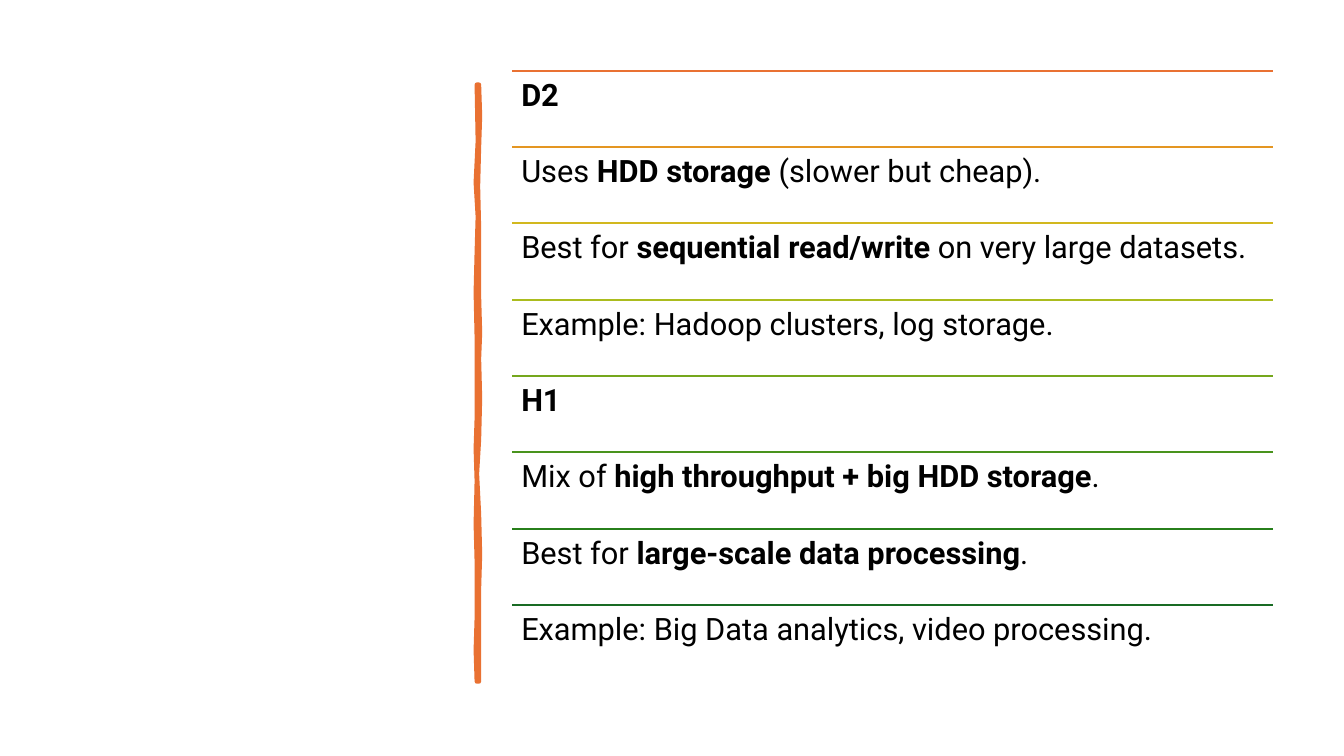
from dataclasses import dataclass
from lxml import etree
from pptx import Presentation
from pptx import util as u
from pptx.dml.color import RGBColor
from pptx.enum import shapes
from pptx.oxml.ns import qn

ROWS = [
    ("E97132", [("D2", True)]),
    ("E49622", [("Uses ", False), ("HDD storage", True), (" (slower but cheap).", False)]),
    ("D2B81E", [("Best for ", False), ("sequential read/write", True),
                (" on very large datasets.", False)]),
    ("ABBC1E", [("Example: Hadoop clusters, log storage.", False)]),
    ("75A71D", [("H1", True)]),
    ("49931D", [("Mix of ", False), ("high throughput + big HDD storage", True), (".", False)]),
    ("277F1B", [("Best for ", False), ("large-scale data processing", True), (".", False)]),
    ("196B24", [("Example: Big Data analytics, video processing.", False)]),
]
RIGHT = [(4.75, 0.84), (4.76, 1.15), (4.75, 1.46), (4.74, 1.85), (4.75, 2.26),
         (4.75, 2.94), (4.76, 3.3), (4.75, 3.56), (4.76, 3.95), (4.75, 4.36),
         (4.73, 4.7), (4.75, 5.1), (4.76, 5.5), (4.75, 5.84), (4.75, 6.76)]
LEFT = [(4.73, 6.76), (4.72, 6.45), (4.73, 6.13), (4.73, 5.57), (4.72, 5.2),
        (4.73, 4.77), (4.72, 4.45), (4.73, 4.15), (4.73, 3.35), (4.72, 2.9),
        (4.73, 2.5), (4.74, 2.15), (4.72, 1.81), (4.74, 1.4), (4.73, 0.84)]


@dataclass
class Theme:
    font: str = "Roboto"
    size: int = 22
    ink: str = "000000"
    bar: str = "E97132"
    rule: float = 1.5
    brush: float = 3.25


theme = Theme()
X, TOP, WIDE, BASE = 5.08, 0.7, 7.55, 6.76
PITCH = (BASE - TOP) / len(ROWS)


def color(code):
    return RGBColor.from_string(code)


def draw_bar(slide):
    points = RIGHT + LEFT
    pen = slide.shapes.build_freeform(*map(u.Inches, points[0]))
    pen.add_line_segments([(u.Inches(x), u.Inches(y)) for x, y in points[1:]])
    bar = pen.convert_to_shape()
    bar.shadow.inherit = False
    bar.fill.solid()
    bar.fill.fore_color.rgb = color(theme.bar)
    bar.line.color.rgb = color(theme.bar)
    bar.line.width = u.Pt(theme.brush)
    edge = bar.line.fill._xPr
    etree.SubElement(edge, qn("a:round"))


def draw_row(slide, top, tint, parts):
    y = u.Inches(top)
    rule = slide.shapes.add_connector(
        shapes.MSO_CONNECTOR.STRAIGHT, u.Inches(X), y, u.Inches(X + WIDE), y)
    rule.line.color.rgb = color(tint)
    rule.line.width = u.Pt(theme.rule)
    etree.SubElement(rule._element.spPr, qn("a:effectLst"))

    box = slide.shapes.add_textbox(u.Inches(X), y, u.Inches(WIDE), u.Inches(PITCH))
    frame = box.text_frame
    frame.word_wrap = True
    frame.margin_left = frame.margin_right = u.Inches(0.09)
    frame.margin_top = frame.margin_bottom = u.Inches(0.09)
    line = frame.paragraphs[0]
    line.line_spacing = 0.9
    line.font.name = theme.font
    line.font.size = u.Pt(theme.size)
    line.font.color.rgb = color(theme.ink)
    for words, bold in parts:
        run = line.add_run()
        run.text = words
        run.font.bold = bold


def main():
    deck = Presentation()
    deck.slide_width, deck.slide_height = u.Inches(13.33), u.Inches(7.5)
    slide = deck.slides.add_slide(deck.slide_layouts[6])
    draw_bar(slide)
    for i, (tint, parts) in enumerate(ROWS):
        draw_row(slide, TOP + i * PITCH, tint, parts)
    deck.save("out.pptx")


if __name__ == "__main__":
    main()
